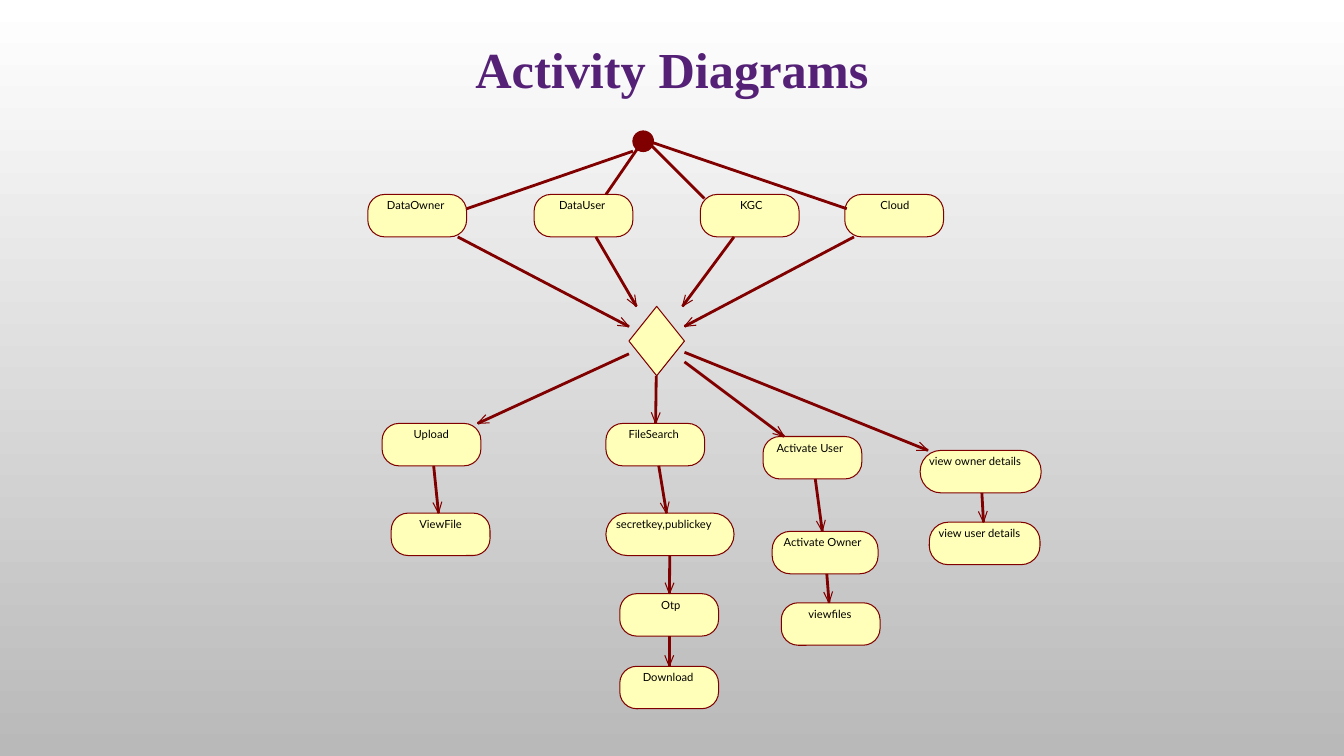
from collections import namedtuple
from math import atan2, cos, pi, radians, sin

from lxml.etree import SubElement
from pptx import Presentation
from pptx.dml.color import RGBColor
from pptx.enum.shapes import MSO_CONNECTOR, MSO_SHAPE
from pptx.enum.text import MSO_ANCHOR, MSO_AUTO_SIZE, PP_ALIGN
from pptx.oxml.ns import qn
from pptx.util import Cm, Pt

MAROON, CREAM, PURPLE, BLACK = "800000", "FFFFB9", "542176", "000000"
NODE_WIDTH, NODE_HEIGHT = 2.49, 1.07
HEAD_LENGTH, HEAD_ANGLE = 0.3, radians(22)

# All lengths are centimetres.
Box = namedtuple("Box", "left top width height")

# Text, label width, left
ROLES = [("DataOwner", 1.65, 9.27), ("DataUser", 1.35, 13.46),
         ("KGC", 0.61, 17.65), ("Cloud", 0.81, 21.29)]
START_LINES = [((15.95, 3.81), (11.76, 5.26)), ((16.18, 3.58), (15.27, 4.9)),
               ((16.33, 3.58), (17.75, 5)), ((16.41, 3.58), (21.34, 5.26))]

# Left and top of each column, then text, label width, offset and node width
COLUMNS = [
    (9.63, 10.67, [("Upload", 1.02, 0, 0, NODE_WIDTH),
                   ("ViewFile", 1.19, 0.23, 2.26, NODE_WIDTH)]),
    (15.27, 10.67, [("FileSearch", 1.47, 0, 0, NODE_WIDTH),
                    ("secretkey,publickey", 2.84, 0, 2.26, 3.23),
                    ("Otp", 0.53, 0.35, 4.29, NODE_WIDTH),
                    ("Download", 1.45, 0.35, 6.12, NODE_WIDTH)]),
    (19.23, 11, [("Activate User", 1.93, 0, 0, NODE_WIDTH),
                 ("Activate Owner", 2.21, 0.23, 2.39, 2.67),
                 ("viewfiles", 1.24, 0.46, 4.19, NODE_WIDTH)]),
    (23.19, 11.35, [("view owner details", 2.72, 0, 0, 3.05),
                    ("view user details", 2.44, 0.23, 1.81, 2.79)]),
]


def color(value):
    return RGBColor.from_string(value)


def lengths(*values):
    return [Cm(value) for value in values]


def outline(shape):
    shape.line.color.rgb = color(MAROON)
    shape.line.width = Pt(0)


def add_filled(page, kind, box, fill):
    shape = page.shapes.add_shape(kind, *lengths(*box))
    shape.shadow.inherit = False
    shape.fill.solid()
    shape.fill.fore_color.rgb = color(fill)
    outline(shape)
    return shape


def add_line(page, start, end):
    line = page.shapes.add_connector(
        MSO_CONNECTOR.STRAIGHT, *lengths(*start, *end))
    outline(line)
    SubElement(line._element.spPr, qn("a:effectLst"))


def add_arrow(page, start, end):
    """Draw a line with an open head whose wings are swept back from its end."""
    add_line(page, start, end)
    back = atan2(start[1] - end[1], start[0] - end[0])
    wings = [lengths(end[0] + HEAD_LENGTH * cos(back + turn),
                     end[1] + HEAD_LENGTH * sin(back + turn))
             for turn in (HEAD_ANGLE, -HEAD_ANGLE)]
    builder = page.shapes.build_freeform(*wings[0])
    builder.add_line_segments([lengths(*end), wings[1]], close=False)
    head = builder.convert_to_shape()
    head.shadow.inherit = False
    head.fill.background()
    outline(head)


def center(box):
    return box.left + box.width / 2, box.top + box.height / 2


def edge_point(box, target):
    """Return where the line from the centre of box to target leaves box."""
    x, y = center(box)
    across, down = target[0] - x, target[1] - y
    share = 1 / max(abs(across) / (box.width / 2), abs(down) / (box.height / 2))
    return x + across * share, y + down * share


def connect(page, source, target):
    add_arrow(page, edge_point(source, center(target)),
              edge_point(target, center(source)))


def draw_node(page, box, text, label_width):
    shape = add_filled(page, MSO_SHAPE.ROUNDED_RECTANGLE, box, CREAM)
    shape.adjustments[0] = min(0.5, 0.16 * box.width)
    label_left = box.left + (box.width - label_width) / 2 + 0.06
    label = page.shapes.add_textbox(
        *lengths(label_left, box.top + 0.11, label_width, 0.91))
    frame = label.text_frame
    frame.margin_left = frame.margin_right = 0
    frame.margin_top = frame.margin_bottom = 0
    frame.word_wrap = False
    frame.auto_size = MSO_AUTO_SIZE.SHAPE_TO_FIT_TEXT
    frame.text = text
    font = frame.paragraphs[0].runs[0].font
    font.name, font.size = "Lato", Pt(8)
    font.color.rgb = color(BLACK)


def draw_title(page, box):
    title = page.shapes.title
    title.left, title.top, title.width, title.height = lengths(*box)
    frame = title.text_frame
    frame.text = "Activity Diagrams"
    frame.auto_size = MSO_AUTO_SIZE.NONE
    frame.vertical_anchor = MSO_ANCHOR.MIDDLE
    para = frame.paragraphs[0]
    para.alignment = PP_ALIGN.CENTER
    para.line_spacing = 0.9
    font = para.runs[0].font
    font.name, font.size, font.bold = "Times New Roman", Pt(36), True
    font.color.rgb = color(PURPLE)


def draw_roles(page, top, decision):
    for text, label_width, left in ROLES:
        box = Box(left, top, NODE_WIDTH, NODE_HEIGHT)
        draw_node(page, box, text, label_width)
        connect(page, box, decision)


def draw_column(page, left, top, activities, decision):
    previous = decision
    for text, label_width, across, down, width in activities:
        box = Box(left + across, top + down, width, NODE_HEIGHT)
        draw_node(page, box, text, label_width)
        connect(page, previous, box)
        previous = box


def draw_background(page):
    fill = page.background.fill
    fill.gradient()
    fill.gradient_angle = 270
    for stop, position, shade in zip(
            fill.gradient_stops, (0, 1), ("FFFFFF", "B9B9B9")):
        stop.position = position
        stop.color.rgb = color(shade)


def main():
    deck = Presentation()
    deck.slide_width, deck.slide_height = lengths(33.87, 19.05)
    page = deck.slides.add_slide(deck.slide_layouts[5])
    draw_background(page)
    draw_title(page, Box(0, 0.89, 33.87, 1.85))

    add_filled(page, MSO_SHAPE.OVAL, Box(15.95, 3.3, 0.52, 0.52), MAROON)
    decision = Box(15.85, 7.72, 1.4, 1.75)
    add_filled(page, MSO_SHAPE.DIAMOND, decision, CREAM)
    draw_roles(page, 4.9, decision)
    for left, top, activities in COLUMNS:
        draw_column(page, left, top, activities, decision)
    for start, end in START_LINES:
        add_line(page, start, end)
    deck.save("out.pptx")


if __name__ == "__main__":
    main()
